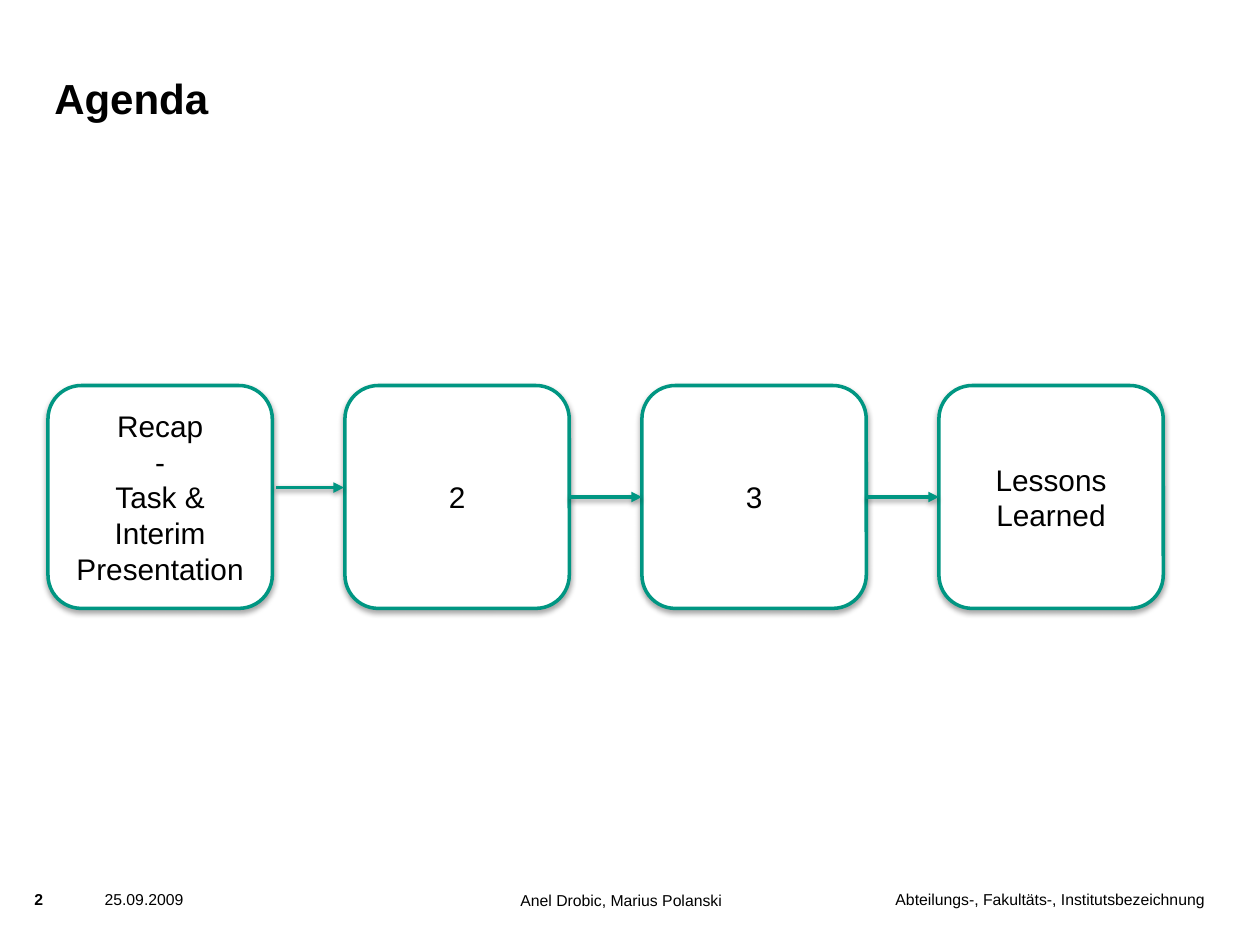
from dataclasses import dataclass

from lxml.etree import SubElement
from pptx import Presentation
from pptx.dml.color import RGBColor
from pptx.enum.shapes import MSO_CONNECTOR, MSO_SHAPE
from pptx.enum.text import MSO_ANCHOR, MSO_AUTO_SIZE, PP_ALIGN
from pptx.oxml.ns import qn
from pptx.util import Pt


@dataclass(frozen=True)
class Theme:
    font: str = "Arial"
    ink: RGBColor = RGBColor(0x00, 0x00, 0x00)
    paper: RGBColor = RGBColor(0xFF, 0xFF, 0xFF)
    accent: RGBColor = RGBColor(0x00, 0x96, 0x82)
    title_size: float = 24
    step_size: float = 17
    footer_size: float = 9
    stroke: float = 2


def write_text(frame, text, *, theme, size, bold=False, align=PP_ALIGN.LEFT,
               anchor=MSO_ANCHOR.TOP, inset=0, wrap=True, fit=MSO_AUTO_SIZE.NONE):
    frame.text = text
    frame.word_wrap = wrap
    frame.auto_size = fit
    frame.vertical_anchor = anchor
    frame.margin_left = frame.margin_right = Pt(inset)
    frame.margin_top = frame.margin_bottom = Pt(inset)
    for paragraph in frame.paragraphs:
        paragraph.alignment = align
        for run in paragraph.runs:
            run.font.name = theme.font
            run.font.size = Pt(size)
            run.font.bold = bold
            run.font.color.rgb = theme.ink


class SlideBuilder:
    """Draws themed elements on one slide, with lengths in points."""

    def __init__(self, slide, theme):
        self.slide = slide
        self.theme = theme

    def title(self, text, left, top, width, height):
        heading = self.slide.shapes.title
        heading.left, heading.top = Pt(left), Pt(top)
        heading.width, heading.height = Pt(width), Pt(height)
        write_text(heading.text_frame, text, theme=self.theme, bold=True,
                   size=self.theme.title_size, anchor=MSO_ANCHOR.BOTTOM)

    def footer(self, text, left, top, width, height=10, **text_format):
        note = self.slide.shapes.add_textbox(Pt(left), Pt(top), Pt(width), Pt(height))
        write_text(note.text_frame, text, theme=self.theme, size=self.theme.footer_size,
                   fit=MSO_AUTO_SIZE.SHAPE_TO_FIT_TEXT, **text_format)

    def step(self, text, left, top, width, height):
        box = self.slide.shapes.add_shape(
            MSO_SHAPE.ROUNDED_RECTANGLE, Pt(left), Pt(top), Pt(width), Pt(height))
        box.adjustments[0] = 0.15
        box.fill.solid()
        box.fill.fore_color.rgb = self.theme.paper
        self.outline(box)
        self.drop_shadow(box, distance=1.8, opacity=35)
        write_text(box.text_frame, text, theme=self.theme, size=self.theme.step_size,
                   align=PP_ALIGN.CENTER, anchor=MSO_ANCHOR.MIDDLE, inset=3.6)
        return box

    def arrow(self, start, end, y):
        link = self.slide.shapes.add_connector(
            MSO_CONNECTOR.STRAIGHT, Pt(start), Pt(y), Pt(end), Pt(y))
        self.outline(link)
        SubElement(link.line._get_or_add_ln(), qn("a:tailEnd"), type="triangle")
        self.drop_shadow(link, distance=1.6, opacity=38)
        return link

    def outline(self, element):
        element.line.color.rgb = self.theme.accent
        element.line.width = Pt(self.theme.stroke)

    def drop_shadow(self, element, distance, opacity):
        effects = SubElement(element._element.spPr, qn("a:effectLst"))
        shadow = SubElement(effects, qn("a:outerShdw"), blurRad=str(Pt(3)),
                            dist=str(Pt(distance)), dir="5400000", rotWithShape="0")
        color = SubElement(shadow, qn("a:srgbClr"), val="000000")
        SubElement(color, qn("a:alpha"), val=str(opacity * 1000))


def main():
    presentation = Presentation()
    presentation.slide_width, presentation.slide_height = Pt(720), Pt(540)
    slide = presentation.slides.add_slide(presentation.slide_layouts[5])
    builder = SlideBuilder(slide, Theme())

    builder.footer("Abteilungs-, Fakultäts-, Institutsbezeichnung", 473, 508.3, 215.3,
                   align=PP_ALIGN.RIGHT)
    builder.footer("25.09.2009", 59.8, 508.3, 64)
    builder.footer("Anel Drobic, Marius Polanski", 297.4, 509, 125.3)
    builder.footer("2", 19.6, 508.3, 10, bold=True, wrap=False)
    builder.title("Agenda", 31, 26, 544.3, 44)

    agenda = ["Recap\n-\nTask &\nInterim Presentation", "2", "3", "Lessons\nLearned"]
    left, top, width, height, pitch = 27.4, 220.3, 128.2, 127.4, 169.7
    steps = [builder.step(topic, left + index * pitch, top, width, height)
             for index, topic in enumerate(agenda)]

    first_arrow_y = 278.6
    builder.arrow(left + width + 2, left + pitch - 0.5, first_arrow_y)
    for index in (1, 2):
        start = left + index * pitch + width
        link = builder.arrow(start, left + (index + 1) * pitch, top + height / 2)
        link.begin_connect(steps[index], 3)
        link.end_connect(steps[index + 1], 1)

    presentation.save("out.pptx")


if __name__ == "__main__":
    main()
